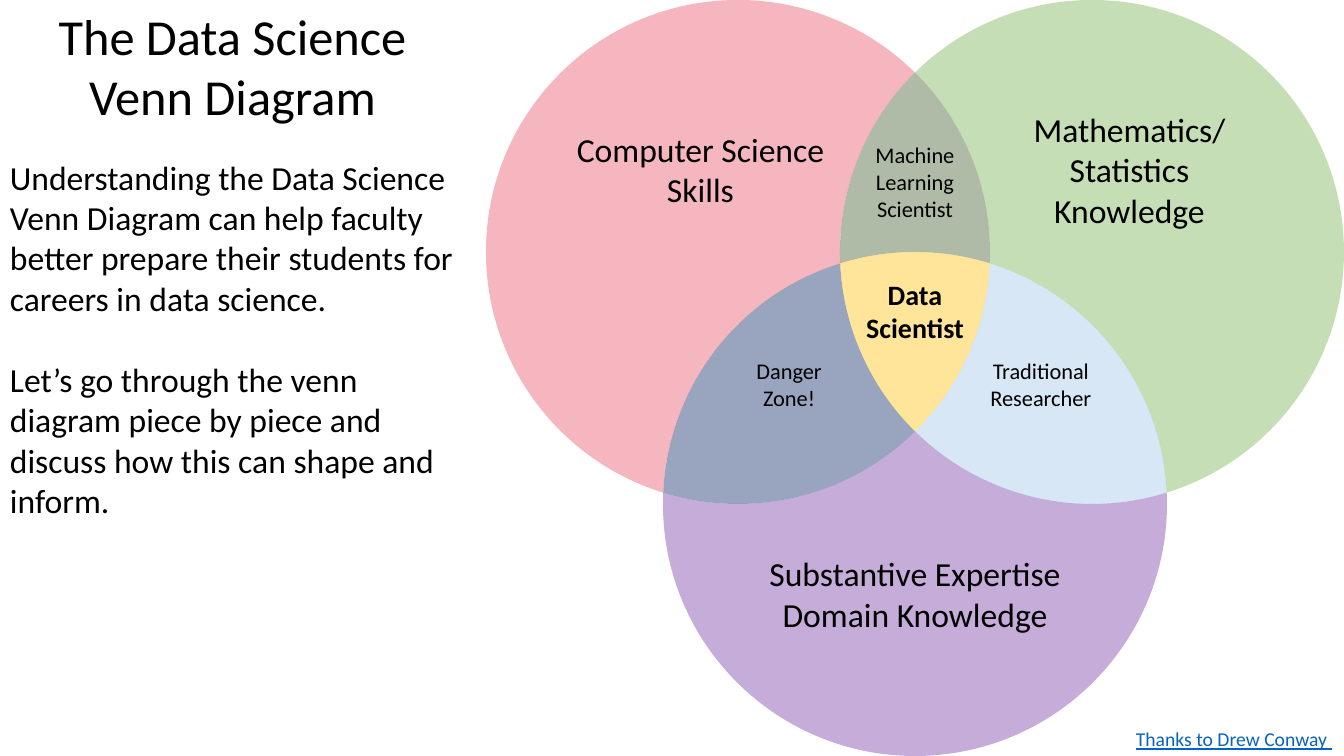
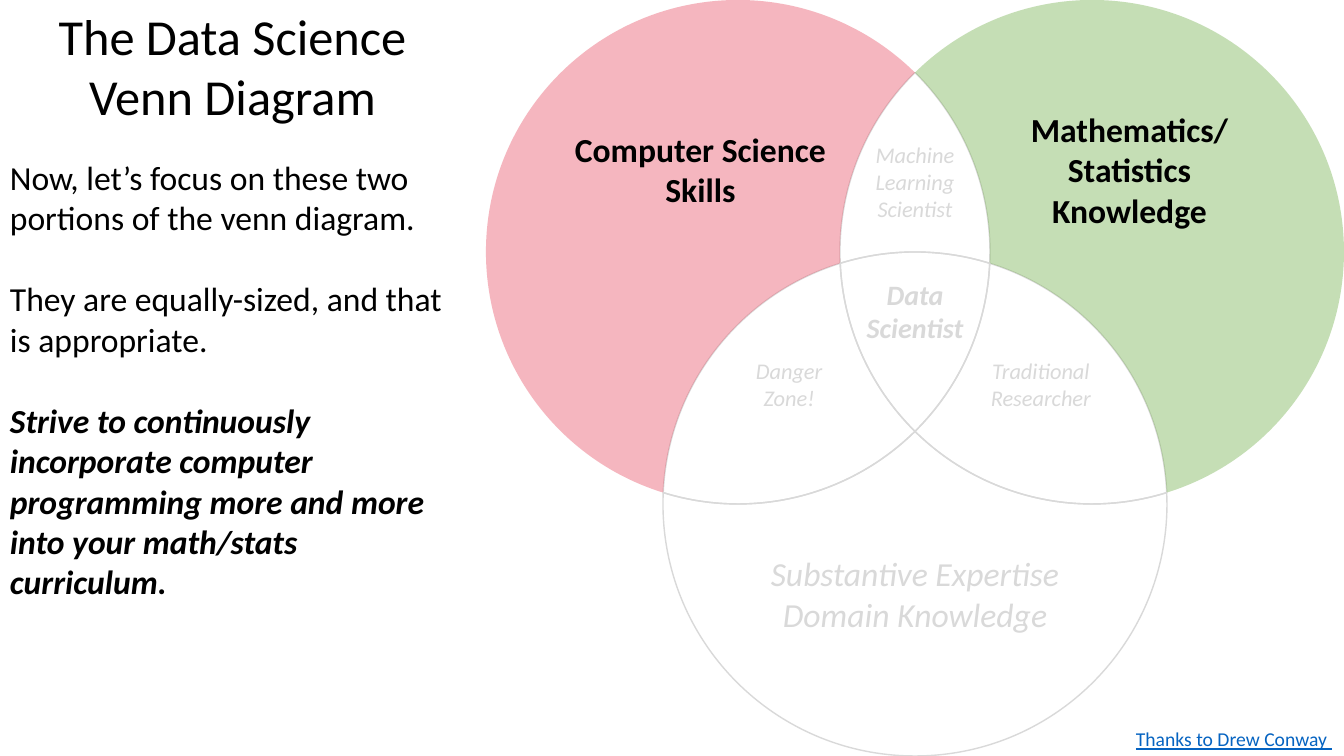
from math import atan2, cos, hypot, sin, sqrt, tan, tau

from lxml.etree import SubElement
from pptx import Presentation
from pptx.dml.color import RGBColor
from pptx.enum.text import MSO_ANCHOR as Anchor, PP_ALIGN as Align
from pptx.oxml.ns import qn
from pptx.util import Emu, Pt

SCALE = 914400 / 100.8  # EMU in one px
FONT = "Calibri"
COLOURS = {
    "ink": "000000",
    "muted": "D9D9D9",
    "link": "0563C1",
    "learning": "385723",
    "research": "9DC3E6",
    "danger": "002060",
    "computing": "E64A60",
    "maths": "70AD47",
    "centre": "FFC000",
    "domain": "7030A0",
}


def px(length):
    return Emu(round(length * SCALE))


def write(frame, lines, align, colour, **formats):
    """Fill a frame with (text, space after, own formats) lines."""
    for number, (text, gap, own) in enumerate(lines):
        para = frame.paragraphs[0] if number == 0 else frame.add_paragraph()
        para.alignment = own.get("align", align)
        para.space_after = Pt(gap)
        span = para.add_run()
        span.text = text
        span.font.name = FONT
        span.font.color.rgb = RGBColor.from_string(COLOURS[colour])
        for name, value in {**formats, **own}.items():
            if name != "align":
                setattr(span.font, name, value)


# Three equal circles: A computing, B mathematics, C domain
RADIUS = 252
CIRCLES = {"A": (738, 252), "B": (1092, 252), "C": (915, 504)}

# Points where each pair of circles meets
crossings = {}
for first, second, names in [
    ("A", "B", ("top", "bottom")),
    ("A", "C", ("right in", "left out")),
    ("B", "C", ("right out", "left in")),
]:
    (x1, y1), (x2, y2) = CIRCLES[first], CIRCLES[second]
    gap = hypot(x2 - x1, y2 - y1)
    reach = sqrt(RADIUS ** 2 - (gap / 2) ** 2) / gap
    for name, side in zip(names, (1, -1)):
        crossings[name] = (
            (x1 + x2) / 2 + side * reach * (y2 - y1),
            (y1 + y2) / 2 - side * reach * (x2 - x1),
        )

# Regions run clockwise: (start, circle, turn); turn is -1 outside the circle
REGIONS = [
    ("learning", [("top", "A", 1), ("right in", "C", -1), ("left in", "B", 1)],
     ["Machine", "Learning", "Scientist"], 16, 27, 0),
    ("research", [("right in", "C", 1), ("right out", "B", 1), ("bottom", "A", -1)],
     ["Traditional", "Researcher"], 16, 0, 0),
    ("danger", [("left in", "B", -1), ("bottom", "A", 1), ("left out", "C", 1)],
     ["Danger", "Zone!"], 16, 0, 0),
    ("computing", [("left out", "A", 1), ("top", "B", -1), ("left in", "C", -1)],
     ["Computer Science", "Skills"], 24, 0, 154),
    ("maths", [("top", "B", 1), ("right out", "C", -1), ("right in", "A", -1)],
     ["Mathematics/", "Statistics", "Knowledge"], 24, 0, 154),
    ("centre", [("left in", "C", 1), ("right in", "A", 1), ("bottom", "B", 1)],
     ["Data", "Scientist"], 20, 0, 62),
    ("domain", [("right out", "C", 1), ("left out", "A", -1), ("bottom", "B", -1)],
     ["Substantive Expertise", "Domain Knowledge"], 24, 0, 0),
]

# Per page: coloured regions, whether their labels are bold, box height, text
STRONG = {"bold": True, "italic": True}
PAGES = [
    ({region[0] for region in REGIONS}, False, 529, [
        ("Understanding the Data Science Venn Diagram can help faculty better "
         "prepare their students for careers in data science.", {}),
        ("Let’s go through the venn diagram piece by piece and discuss how this "
         "can shape and inform.", {}),
    ]),
    ({"computing", "maths"}, True, 611, [
        ("Now, let’s focus on these two portions of the venn diagram.", {}),
        ("They are equally-sized, and that is appropriate.", {}),
        ("Strive to continuously incorporate computer programming more and more "
         "into your math/stats curriculum.", STRONG),
    ]),
]

deck = Presentation()
deck.slide_width, deck.slide_height = px(1344), px(756)

for focus, bold_focus, text_height, body in PAGES:
    page = deck.slides.add_slide(deck.slide_layouts[6])

    # Venn regions with their labels
    for key, arcs, label, size, drop, lift in REGIONS:
        # Each arc is cut at quarter turns so that the nodes span its full extent
        nodes, controls = [], []
        for number, (start, circle, turn) in enumerate(arcs):
            end = arcs[(number + 1) % len(arcs)][0]
            cx, cy = CIRCLES[circle]
            begin, finish = (atan2(crossings[name][1] - cy, crossings[name][0] - cx)
                             for name in (start, end))
            finish = begin + turn * ((turn * (finish - begin)) % tau)
            low, high = sorted((begin, finish))
            quarters = [turns * tau / 4 for turns in range(-8, 9)
                        if low < turns * tau / 4 < high]
            stops = sorted([begin, *quarters, finish], reverse=turn < 0)
            for near, far in zip(stops, stops[1:]):
                pull = 4 / 3 * tan((far - near) / 4)
                nodes.append((px(cx + RADIUS * cos(near)), px(cy + RADIUS * sin(near))))
                controls.append([
                    (px(cx + RADIUS * (cos(angle) - bend * sin(angle))),
                     px(cy + RADIUS * (sin(angle) + bend * cos(angle))))
                    for angle, bend in ((near, pull), (far, -pull))
                ])
        outline = page.shapes.build_freeform(*nodes[0], scale=1.0)
        outline.add_line_segments(nodes[1:] + nodes[:1], close=True)
        region = outline.convert_to_shape()
        region.shadow.inherit = False

        # Bend the straight segments into curves
        segments = list(region._element.spPr.iter(qn("a:lnTo")))
        for segment, pair in zip(segments, controls):
            segment.tag = qn("a:cubicBezTo")
            for place, (x, y) in enumerate(pair):
                handle = SubElement(segment, qn("a:pt"),
                                    x=str(x - region.left), y=str(y - region.top))
                segment.insert(place, handle)

        lit = key in focus
        if lit:
            region.fill.solid()
            region.fill.fore_color.rgb = RGBColor.from_string(COLOURS[key])
            tint = region._element.spPr.find(qn("a:solidFill")).find(qn("a:srgbClr"))
            SubElement(tint, qn("a:alpha"), val="40000")
            region.line.fill.background()
        else:
            region.fill.background()
            region.line.color.rgb = RGBColor.from_string(COLOURS["muted"])
            region.line.width = Pt(1)

        frame = region.text_frame
        frame.word_wrap = True
        frame.vertical_anchor = Anchor.MIDDLE
        frame.margin_top, frame.margin_bottom = px(5 + drop), px(5 + lift)
        write(frame, [(line, 0, {}) for line in label], Align.CENTER,
              "ink" if lit else "muted", size=Pt(size), italic=not lit,
              bold=key == "centre" or (lit and bold_focus))

    # Title and explanation
    box = page.shapes.add_textbox(px(0), px(0), px(465), px(text_height))
    box.text_frame.word_wrap = True
    title = ("The Data Science Venn Diagram", 22, {"size": Pt(36), "align": Align.CENTER})
    write(box.text_frame, [title] + [(text, 29.3, own) for text, own in body],
          Align.LEFT, "ink", size=Pt(24))

    # Credit
    box = page.shapes.add_textbox(px(1126), px(722), px(218), px(34))
    box.text_frame.word_wrap = False
    write(box.text_frame, [("Thanks to Drew Conway ", 0, {})], Align.LEFT, "link",
          size=Pt(14), underline=True)

deck.save("out.pptx")
